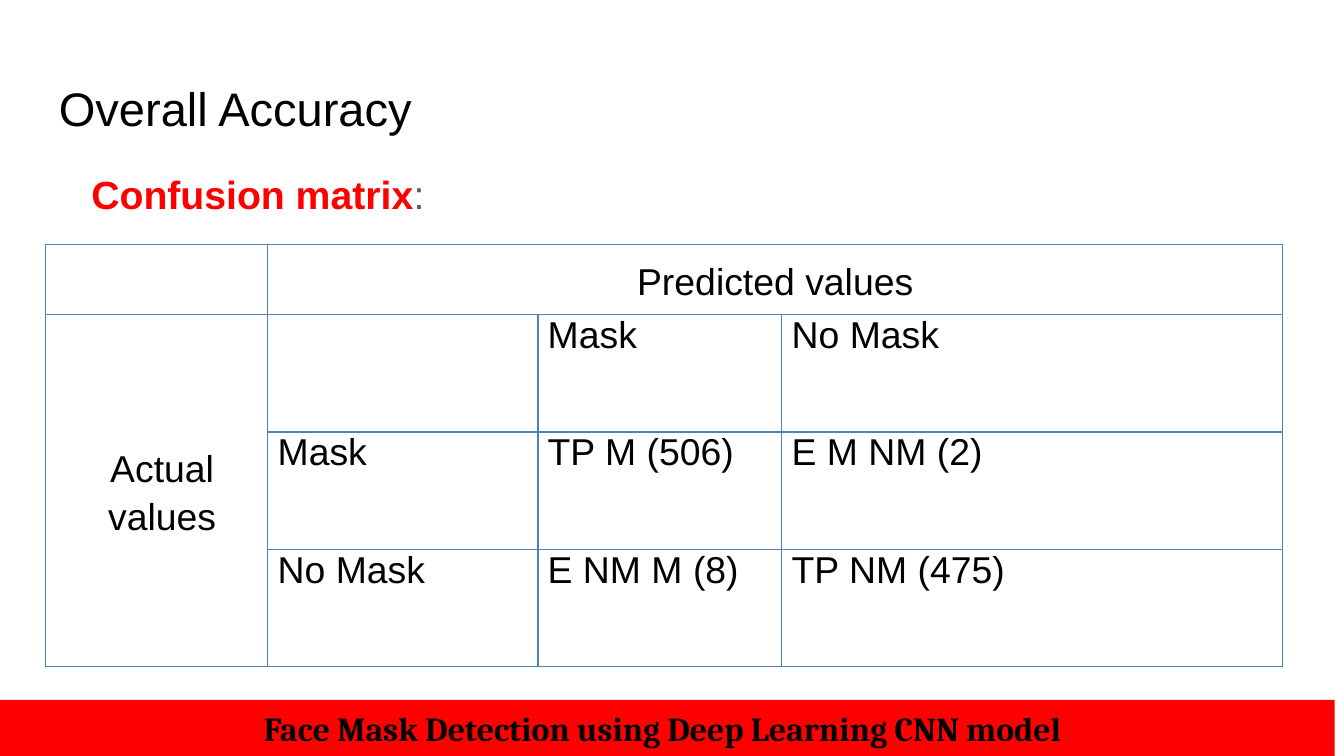
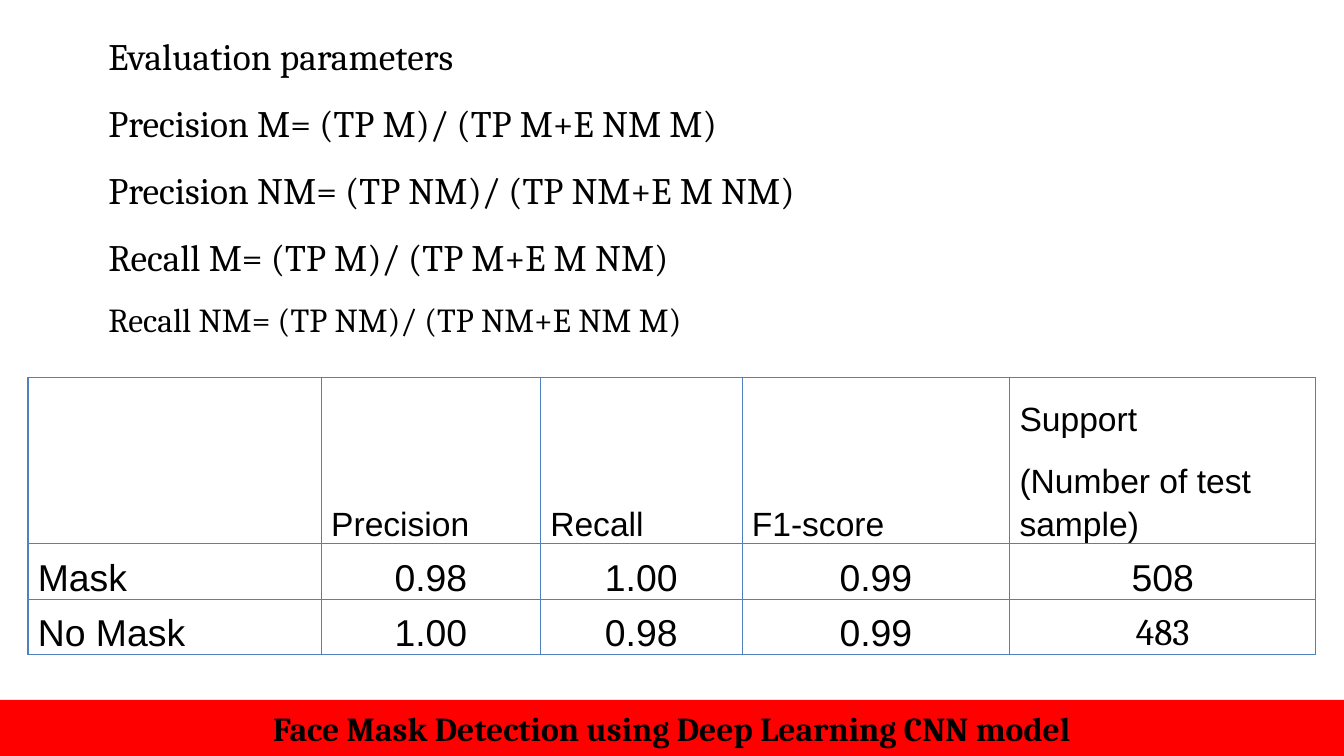
from dataclasses import dataclass

from lxml.etree import SubElement
from pptx import Presentation
from pptx.dml.color import RGBColor
from pptx.enum.shapes import MSO_SHAPE as Shape
from pptx.enum.text import MSO_ANCHOR as Anchor, PP_ALIGN as Align
from pptx.oxml.ns import qn
from pptx.util import Pt


@dataclass(frozen=True)
class Theme:
    black: str = "000000"
    red: str = "FF0000"
    gray: str = "595959"
    border: str = "4F81BD"
    sans: str = "Arial"
    serif: str = "Cambria"
    title: float = 25.2
    heading: float = 21
    body: float = 20
    small: float = 18
    rule: float = 0.75
    spacing: float = 1.15


THEME = Theme()
FOOTER = "Face Mask Detection using Deep Learning CNN model"


def style_font(font, size, name=THEME.sans, color=THEME.black, bold=False):
    font.size = Pt(size)
    font.name = name
    font.bold = bold
    font.color.rgb = RGBColor.from_string(color)


def set_frame(frame, margins, anchor=Anchor.TOP):
    """Margins run left, top, right, bottom."""
    frame.word_wrap = True
    frame.vertical_anchor = anchor
    (frame.margin_left, frame.margin_top,
     frame.margin_right, frame.margin_bottom) = map(Pt, margins)


def add_box(page, left, top, width, height, margins=(7.2,) * 4, anchor=Anchor.TOP):
    box = page.shapes.add_textbox(Pt(left), Pt(top), Pt(width), Pt(height))
    set_frame(box.text_frame, margins, anchor)
    return box.text_frame


def add_footer(page, left=0):
    band = page.shapes.add_shape(Shape.RECTANGLE, Pt(left), Pt(375), Pt(720), Pt(30))
    band.shadow.inherit = False
    band.fill.solid()
    band.fill.fore_color.rgb = RGBColor.from_string(THEME.red)
    band.line.fill.background()
    set_frame(band.text_frame, (7.2, 3.6, 7.2, 3.6), Anchor.MIDDLE)
    para = band.text_frame.paragraphs[0]
    para.text = FOOTER
    para.alignment = Align.CENTER
    style_font(para.font, THEME.small, THEME.serif, bold=True)


def set_borders(cell):
    props = cell._tc.get_or_add_tcPr()
    for index, side in enumerate(("lnL", "lnR", "lnT", "lnB")):
        line = props.makeelement(qn(f"a:{side}"), {"w": str(Pt(THEME.rule))})
        fill = SubElement(line, qn("a:solidFill"))
        SubElement(fill, qn("a:srgbClr"), {"val": THEME.border})
        props.insert(index, line)


def add_table(page, left, top, widths, heights):
    frame = page.shapes.add_table(len(heights), len(widths), Pt(left), Pt(top),
                                  Pt(sum(widths)), Pt(sum(heights)))
    table = frame.table
    table.first_row = table.horz_banding = False
    for column, width in zip(table.columns, widths):
        column.width = Pt(width)
    for row, height in zip(table.rows, heights):
        row.height = Pt(height)
    for cell in table.iter_cells():
        cell.fill.background()
        set_borders(cell)
    return table


def fill_cell(cell, text, size=THEME.body, align=Align.JUSTIFY,
              anchor=Anchor.TOP, spacing=THEME.spacing, font=THEME.sans):
    cell.vertical_anchor = anchor
    cell.margin_left = cell.margin_right = Pt(5.25)
    cell.margin_top = cell.margin_bottom = 0
    cell.text_frame.text = text
    for para in cell.text_frame.paragraphs:
        para.alignment = align
        para.line_spacing = spacing
        style_font(para.font, size, font)


def add_confusion_page(page):
    # Title and heading
    para = add_box(page, 24.5, 35.3, 671, 45.4).paragraphs[0]
    para.text = "Overall Accuracy"
    style_font(para.font, THEME.title)

    para = add_box(page, 41.8, 80, 553.7, 78.5).paragraphs[0]
    para.line_spacing = THEME.spacing
    for text, color, bold in (("Confusion matrix", THEME.red, True),
                              (":", THEME.gray, False)):
        span = para.add_run()
        span.text = text
        style_font(span.font, THEME.heading, color=color, bold=bold)

    add_footer(page, -5)

    # Confusion matrix
    table = add_table(page, 24.5, 131, (119, 144.7, 130.7, 268.4),
                      (37.7, 62.8, 62.8, 62.8))
    table.cell(0, 1).merge(table.cell(0, 3))
    table.cell(1, 0).merge(table.cell(3, 0))
    fill_cell(table.cell(0, 1), "Predicted values", align=Align.CENTER, anchor=Anchor.MIDDLE)
    actual = table.cell(1, 0)
    fill_cell(actual, "Actual values", align=Align.CENTER, anchor=Anchor.MIDDLE)
    actual.text_frame.paragraphs[0]._p.get_or_add_pPr().set("marL", str(Pt(5.75)))

    matrix = (("", "Mask", "No Mask"),
              ("Mask", "TP M (506)", "E M NM (2)"),
              ("No Mask", "E NM M (8)", "TP NM (475)"))
    for row, texts in enumerate(matrix, 1):
        for column, text in enumerate(texts, 1):
            fill_cell(table.cell(row, column), text, spacing=1)


def add_evaluation_page(page):
    add_footer(page)

    # Formulas
    frame = add_box(page, 15, -5, 690, 254, (7.2, 3.6, 7.2, 60), Anchor.MIDDLE)
    frame.text = "\n".join(("Evaluation parameters",
                            "Precision M= (TP M)/ (TP M+E NM M)",
                            "Precision NM= (TP NM)/ (TP NM+E M NM)",
                            "Recall M= (TP M)/ (TP M+E M NM)",
                            "Recall NM= (TP NM)/ (TP NM+E NM M)"))
    for para in frame.paragraphs:
        para.alignment = Align.JUSTIFY
        para.line_spacing = 1.5
        para._p.get_or_add_pPr().set("indent", str(Pt(36)))
        style_font(para.font, THEME.body, THEME.serif)
    frame.paragraphs[-1].font.size = Pt(THEME.small)

    # Scores by class
    table = add_table(page, 15, 202.4, (157.2, 117.4, 108, 143.4, 164), (89, 29.7, 29.7))
    headers = ("", "Precision", "Recall", "F1-score", "Support\n(Number of test sample)")
    for column, text in enumerate(headers):
        fill_cell(table.cell(0, column), text, THEME.small, anchor=Anchor.BOTTOM)
    note = table.cell(0, 4).text_frame.paragraphs[1]
    note.alignment = Align.LEFT
    note.space_before = Pt(10)

    scores = (("Mask", "0.98", "1.00", "0.99", "508"),
              ("No Mask", "1.00", "0.98", "0.99", "483"))
    for row, texts in enumerate(scores, 1):
        for column, text in enumerate(texts):
            fill_cell(table.cell(row, column), text, anchor=Anchor.BOTTOM,
                      align=Align.CENTER if column else Align.JUSTIFY)
    table.cell(2, 4).text_frame.paragraphs[0].font.name = THEME.serif


def main():
    deck = Presentation()
    deck.slide_width, deck.slide_height = Pt(720), Pt(405)
    blank = deck.slide_layouts[6]
    for build in (add_confusion_page, add_evaluation_page):
        build(deck.slides.add_slide(blank))
    deck.save("out.pptx")


if __name__ == "__main__":
    main()
